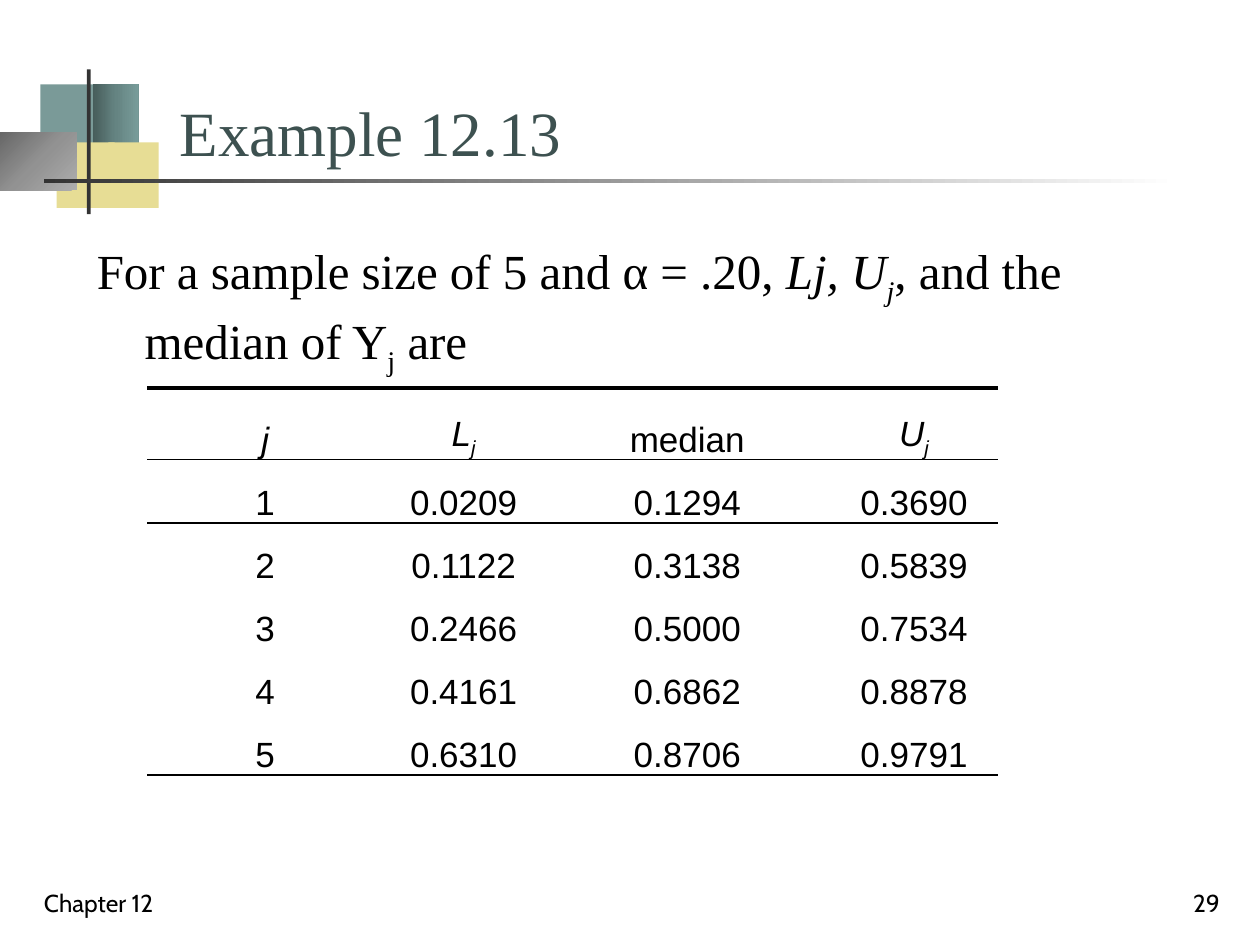
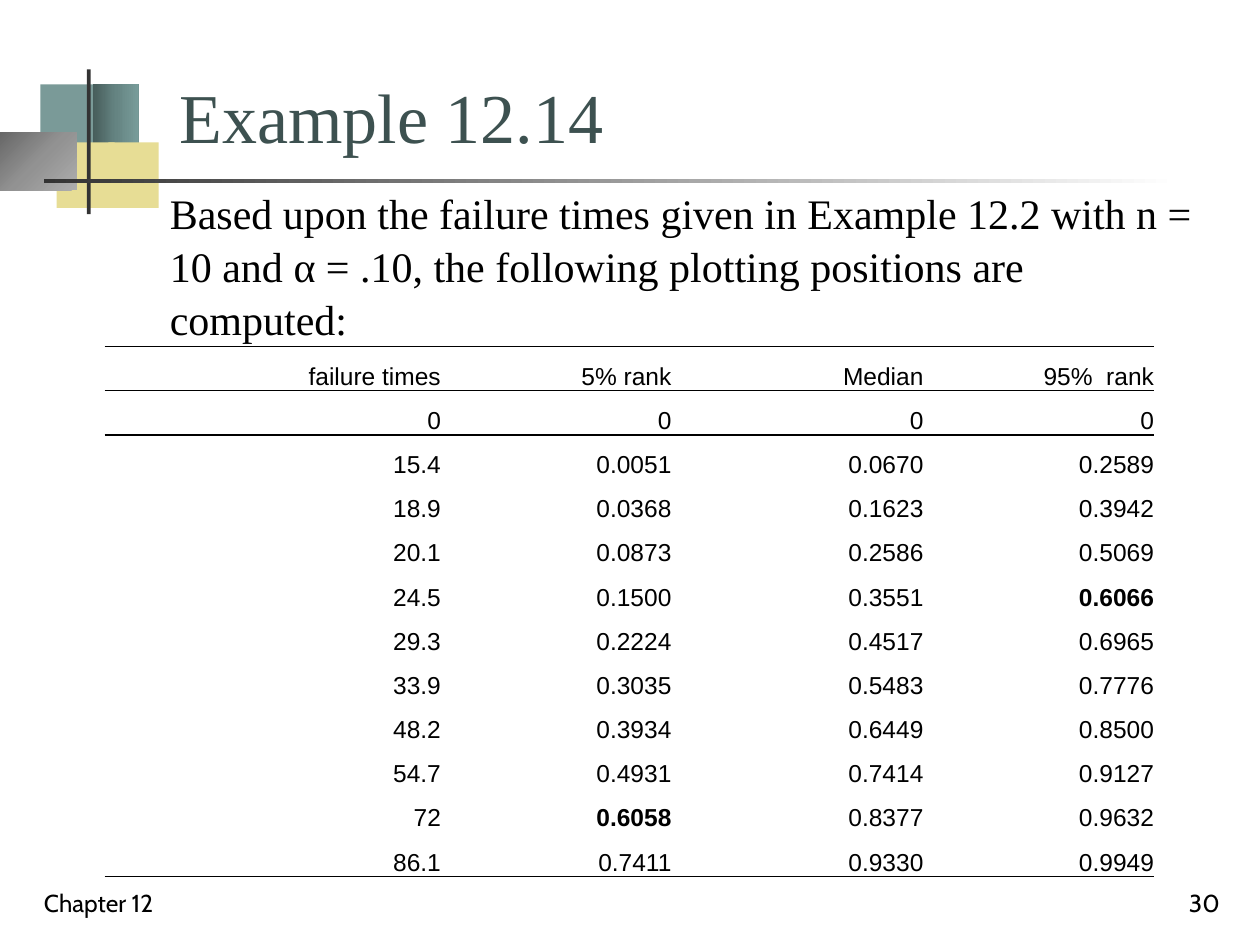
from lxml import etree
from pptx import Presentation
from pptx.dml.color import RGBColor
from pptx.enum.shapes import MSO_SHAPE
from pptx.enum.text import MSO_ANCHOR, PP_ALIGN
from pptx.oxml.ns import nsdecls, qn
from pptx.util import Pt

# Lengths are in px, 100 to the inch
PX = 9144
COLORS = {
    "title": "3D5150", "text": "000000", "teal": "7A9A98", "sand": "E7DD95", "bar": "333333",
    "teal dark": "475D5B", "teal mid": "658482", "teal light": "789C9A",
    "gray dark": "676767", "gray mid": "929292", "gray light": "ADADAD", "white": "FFFFFF",
}
NO_STYLE_NO_GRID = "{2D5ABB26-0587-4C30-8999-92F81FD0307C}"
LINEAR = '<a:lin ang="0" scaled="0"/>'
FROM_CORNER = '<a:path path="circle"><a:fillToRect r="100000" b="100000"/></a:path>'

# Corner ornament: box, colour names from start to end, gradient direction
ORNAMENT = [
    ((32, 67, 48, 52), ["teal"], None),
    ((74, 67, 36, 52), ["teal dark", "teal mid", "teal light"], LINEAR),
    ((45, 113, 46, 52), ["sand"], None),
    ((86, 113, 40, 52), ["sand"], None),
    ((0, 105, 61, 46), ["gray dark", "gray mid", "gray light"], FROM_CORNER),
    ((69, 55, 3, 115), ["bar"], None),
    ((35, 142, 900, 3), ["bar", "white"], LINEAR),
]

# Text formats
SERIF = {"font": "Times New Roman", "color": "text"}
TITLE = {**SERIF, "color": "title", "anchor": MSO_ANCHOR.BOTTOM}
BODY = {**SERIF, "line_spacing": 1.05}
FOOTER = {"font": "Cabin", "size": 14, "color": "text", "anchor": MSO_ANCHOR.BOTTOM}
CELL = {"font": "Arial", "color": "text", "line_spacing": 1.5}

# Slide contents; run marks: i italic, b bold, s subscript
SLIDES = [
    {
        "title": "Example 12.13", "title box": (133, 42, 777, 97), "title size": 36,
        "body": [("For a sample size of 5 and α = .20, ", ""), ("Lj, U", "i"), ("j", "is"),
                 (", and the median of Y", ""), ("j", "s"), (" are", "")],
        "body box": (67, 183, 850, 142),
        "body format": {**BODY, "size": 28, "margin": 38, "indent": -38},
        "number": "29",
        "table at": (117, 308), "columns": [137, 178, 177, 183], "row height": 42, "top line": 2.25,
        "cell format": {**CELL, "size": 20, "align": PP_ALIGN.CENTER, "indent": 50},
        "rows": [
            [[("j", "i")], [("L", "i"), ("j", "is")], "median", [("U", "i"), ("j", "is")]],
            ["1", "0.0209", "0.1294", "0.3690"],
            ["2", "0.1122", "0.3138", "0.5839"],
            ["3", "0.2466", "0.5000", "0.7534"],
            ["4", "0.4161", "0.6862", "0.8878"],
            ["5", "0.6310", "0.8706", "0.9791"],
        ],
    },
    {
        "title": "Example 12.14", "title box": (133, 33, 777, 97), "title size": 40,
        "body": "Based upon the failure times given in Example 12.2 with n = 10 and α = .10, "
                "the following plotting positions are computed:",
        "body box": (75, 142, 883, 175),
        "body format": {**BODY, "size": 24, "margin": 50},
        "number": "30",
        "table at": (83, 275), "columns": [267, 183, 200, 183], "row height": 35, "top line": 1,
        "cell format": {**CELL, "size": 14, "align": PP_ALIGN.RIGHT},
        "rows": [
            ["failure times", "5% rank", "Median", "95%  rank"],
            ["0", "0", "0", "0"],
            ["15.4", "0.0051", "0.0670", "0.2589"],
            ["18.9", "0.0368", "0.1623", "0.3942"],
            ["20.1", "0.0873", "0.2586", "0.5069"],
            ["24.5", "0.1500", "0.3551", [("0.6066", "b")]],
            ["29.3", "0.2224", "0.4517", "0.6965"],
            ["33.9", "0.3035", "0.5483", "0.7776"],
            ["48.2", "0.3934", "0.6449", "0.8500"],
            ["54.7", "0.4931", "0.7414", "0.9127"],
            ["72", [("0.6058", "b")], "0.8377", "0.9632"],
            ["86.1", "0.7411", "0.9330", "0.9949"],
        ],
    },
]


def write_runs(paragraph, content, style):
    """Fill a paragraph with a string or a list of (text, marks) runs."""
    properties = paragraph._p.get_or_add_pPr()
    properties.set("marL", str(style.get("margin", 0) * PX))
    properties.set("indent", str(style.get("indent", 0) * PX))
    paragraph.alignment = style.get("align", PP_ALIGN.LEFT)
    paragraph.line_spacing = style.get("line_spacing", 1.0)
    runs = [(content, "")] if isinstance(content, str) else content
    for text, marks in runs:
        run = paragraph.add_run()
        run.text = text
        values = {"name": style["font"], "size": Pt(style["size"]),
                  "bold": "b" in marks, "italic": "i" in marks}
        for name, value in values.items():
            setattr(run.font, name, value)
        run.font.color.rgb = RGBColor.from_string(COLORS[style["color"]])
        if "s" in marks:
            run.font._element.set("baseline", "-25000")


def add_text(slide, box, content, style):
    frame = slide.shapes.add_textbox(*[length * PX for length in box]).text_frame
    frame.word_wrap = True
    frame.vertical_anchor = style.get("anchor", MSO_ANCHOR.TOP)
    write_runs(frame.paragraphs[0], content, style)


presentation = Presentation()
presentation.slide_width = 1000 * PX
presentation.slide_height = 750 * PX

for content in SLIDES:
    slide = presentation.slides.add_slide(presentation.slide_layouts[6])

    # Corner ornament and title rule
    for box, names, direction in ORNAMENT:
        shape = slide.shapes.add_shape(MSO_SHAPE.RECTANGLE, *[length * PX for length in box])
        shape.shadow.inherit = False
        shape.line.fill.background()
        if direction is None:
            shape.fill.solid()
            shape.fill.fore_color.rgb = RGBColor.from_string(COLORS[names[0]])
        else:
            stops = "".join(
                f'<a:gs pos="{100000 * index // (len(names) - 1)}">'
                f'<a:srgbClr val="{COLORS[name]}"/></a:gs>'
                for index, name in enumerate(names))
            gradient = etree.fromstring(
                f'<a:gradFill {nsdecls("a")} rotWithShape="1">'
                f'<a:gsLst>{stops}</a:gsLst>{direction}</a:gradFill>')
            shape._element.spPr.find(qn("a:prstGeom")).addnext(gradient)

    # Title, body and footer
    add_text(slide, content["title box"], content["title"], {**TITLE, "size": content["title size"]})
    add_text(slide, content["body box"], content["body"], content["body format"])
    add_text(slide, (25, 683, 208, 50), "Chapter 12", FOOTER)
    add_text(slide, (770, 683, 208, 50), content["number"], {**FOOTER, "align": PP_ALIGN.RIGHT})

    # Table
    rows, columns = content["rows"], content["columns"]
    left, top = content["table at"]
    height = content["row height"]
    table = slide.shapes.add_table(
        len(rows), len(columns), left * PX, top * PX,
        sum(columns) * PX, len(rows) * height * PX).table
    table.first_row = table.horz_banding = False
    table._tbl.tblPr.find(qn("a:tableStyleId")).text = NO_STYLE_NO_GRID
    for column, width in zip(table.columns, columns):
        column.width = width * PX
    last = len(rows) - 1
    for row_index, row in enumerate(rows):
        table.rows[row_index].height = height * PX
        borders = {
            0: {"lnT": content["top line"], "lnB": 1},
            1: {"lnT": 1},
            last: {"lnB": 1},
        }.get(row_index, {})
        for column_index, value in enumerate(row):
            cell = table.cell(row_index, column_index)
            values = {"margin_left": 0, "margin_right": 0, "margin_top": 0, "margin_bottom": 0,
                      "vertical_anchor": MSO_ANCHOR.BOTTOM}
            for name, setting in values.items():
                setattr(cell, name, setting)
            for side, points in borders.items():
                cell._tc.get_or_add_tcPr().append(etree.fromstring(
                    f'<a:{side} {nsdecls("a")} w="{Pt(points)}"><a:solidFill>'
                    f'<a:srgbClr val="{COLORS["text"]}"/></a:solidFill></a:{side}>'))
            cell.fill.background()
            write_runs(cell.text_frame.paragraphs[0], value, content["cell format"])

presentation.save("out.pptx")
